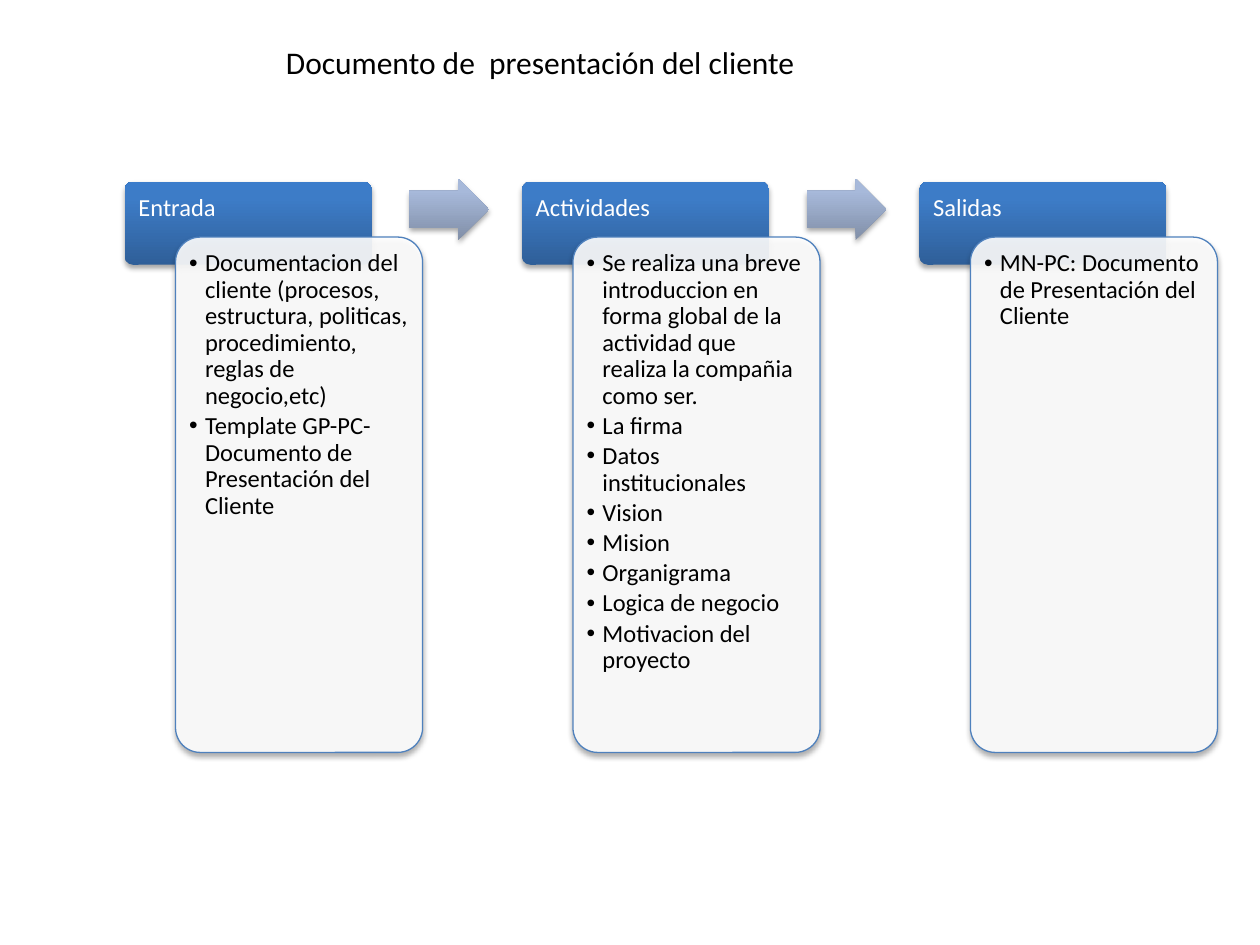
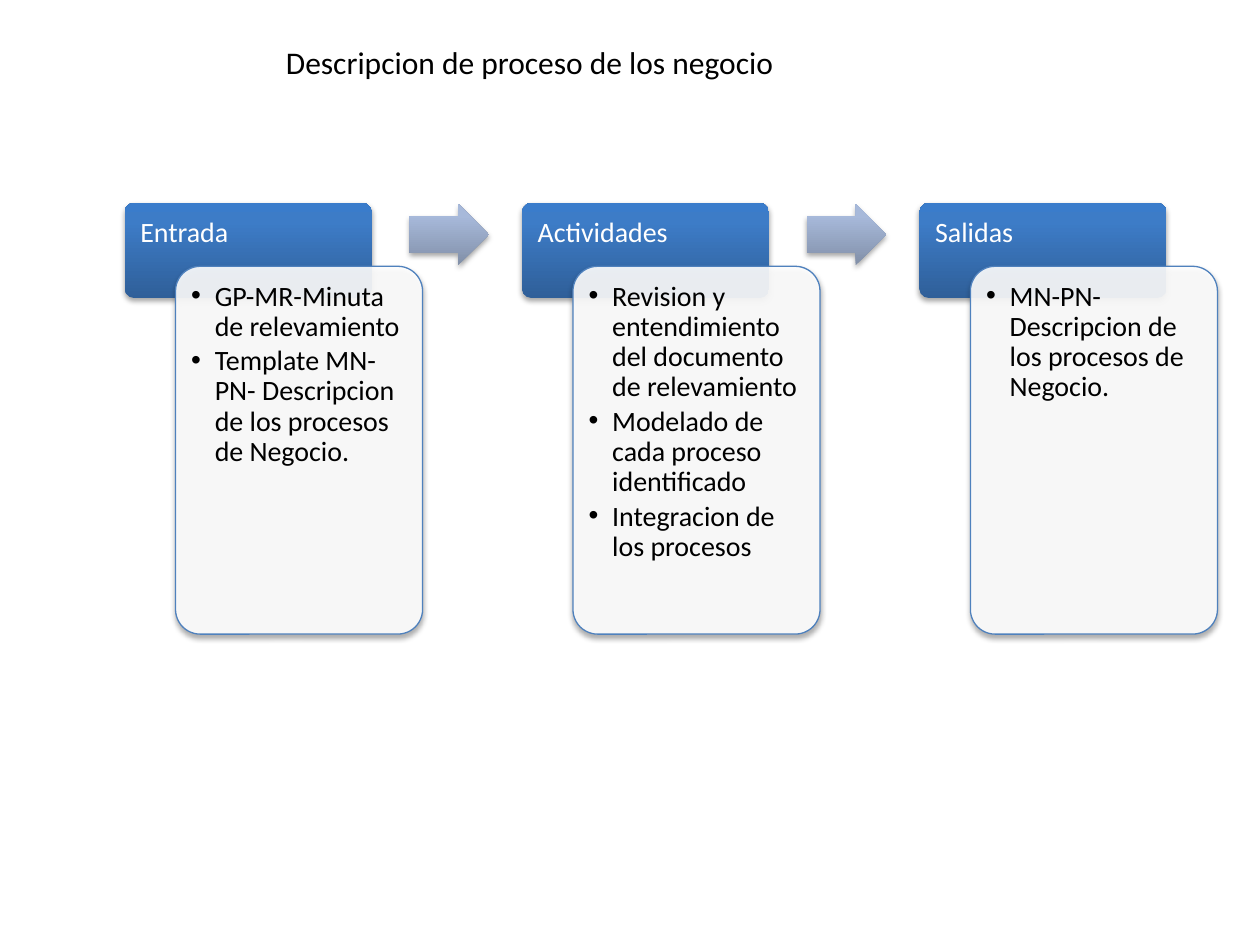
"""Build two process slides: inputs, activities and outputs as linked columns."""
from lxml.etree import SubElement
from pptx import Presentation
from pptx.dml.color import RGBColor as Rgb
from pptx.enum.shapes import MSO_SHAPE as Preset
from pptx.enum.text import MSO_ANCHOR as Anchor, MSO_AUTO_SIZE as AutoSize, PP_ALIGN as Align
from pptx.oxml.ns import qn
from pptx.util import Pt

COLORS = {
    "white": "FFFFFF", "black": "000000", "outline": "4F81BD",
    "header_low": "2F5F99", "header_mid": "3D7CC7", "header_top": "3A7CCB",
    "arrow_low": "818FA8", "arrow_mid": "A7B9DA", "arrow_top": "A7BADC",
}
FONT = "Calibri"
COMPARISON_LAYOUT = 4
COLUMN_LEFT, COLUMN_STEP, COLUMN_WIDTH = 71.2, 227.1, 141.2
PANEL_SHIFT, ARROW_SHIFT = 29.1, 162.8
ARROW_WIDTH, ARROW_HEIGHT = 45.4, 35.2
CORNER = 0.1
HEADINGS = ["Entrada", "Actividades", "Salidas"]

SLIDES = [
    {
        "title": "Documento de  presentación del cliente",
        "size": 14, "indent": 9, "top": 103.8, "header": 47.5, "panel": 294.5,
        "lists": [
            ["Documentacion del cliente (procesos, estructura, politicas, "
             "procedimiento, reglas de negocio,etc)",
             "Template GP-PC-Documento de Presentación del Cliente"],
            ["Se realiza una breve introduccion en forma global de la actividad "
             "que realiza la compañia como ser.",
             "La firma", "Datos institucionales", "Vision", "Mision",
             "Organigrama", "Logica de negocio", "Motivacion del proyecto"],
            ["MN-PC: Documento de Presentación del Cliente"],
        ],
    },
    {
        "title": "Descripcion de proceso de los negocio",
        "size": 16, "indent": 13.5, "top": 115.9, "header": 54.4, "panel": 210.2,
        "lists": [
            ["GP-MR-Minuta de relevamiento",
             "Template MN-PN- Descripcion de los procesos de Negocio."],
            ["Revision y entendimiento del documento de relevamiento",
             "Modelado de cada proceso identificado",
             "Integracion de los procesos"],
            ["MN-PN- Descripcion de los procesos de Negocio."],
        ],
    },
]


def color(name):
    return Rgb.from_string(COLORS[name])


def place(box, left, top, width, height):
    box.left, box.top, box.width, box.height = Pt(left), Pt(top), Pt(width), Pt(height)


def set_frame(box, inset_x, inset_y):
    frame = box.text_frame
    frame.word_wrap = True
    frame.auto_size = AutoSize.NONE
    frame.vertical_anchor = Anchor.TOP
    frame.margin_left = frame.margin_right = Pt(inset_x)
    frame.margin_top = frame.margin_bottom = Pt(inset_y)
    return frame


def add_span(para, text, size, tone):
    para.alignment = Align.LEFT
    para.space_before = Pt(0)
    span = para.add_run()
    span.text = text
    span.font.name, span.font.size, span.font.bold = FONT, Pt(size), False
    span.font.color.rgb = color(tone)


def add_shadow(box):
    box.shadow.inherit = False
    effects = box._element.spPr.find(qn("a:effectLst"))
    shadow = SubElement(effects, qn("a:outerShdw"), blurRad=str(Pt(3.1)),
                        dist=str(Pt(1.8)), dir="5400000", rotWithShape="0")
    tone = SubElement(shadow, qn("a:srgbClr"), val=COLORS["black"])
    SubElement(tone, qn("a:alpha"), val="35000")


def fill_gradient(box, family):
    box.fill.gradient()
    box.fill.gradient_angle = 90
    stops = next(box._element.spPr.iter(qn("a:gsLst")))
    for stop in list(stops):
        stops.remove(stop)
    for position, level in ((0, "low"), (80, "mid"), (100, "top")):
        stop = SubElement(stops, qn("a:gs"), pos=str(position * 1000))
        SubElement(stop, qn("a:srgbClr"), val=COLORS[f"{family}_{level}"])
    box.line.fill.background()


def add_box(page, preset, left, top, width, height):
    box = page.shapes.add_shape(preset, Pt(left), Pt(top), Pt(width), Pt(height))
    add_shadow(box)
    return box


def add_header(page, text, left, top, height, size):
    box = add_box(page, Preset.ROUNDED_RECTANGLE, left, top, COLUMN_WIDTH, height)
    box.adjustments[0] = CORNER
    fill_gradient(box, "header")
    inset = size * 0.56 - height * CORNER * 0.29
    para = set_frame(box, inset, inset).paragraphs[0]
    para.line_spacing = 0.9
    add_span(para, text, size, "white")


def add_panel(page, left, top, height):
    box = add_box(page, Preset.ROUNDED_RECTANGLE, left, top, COLUMN_WIDTH, height)
    box.adjustments[0] = CORNER
    box.fill.solid()
    box.fill.fore_color.rgb = color("white")
    tone = box._element.spPr.find(qn("a:solidFill"))[0]
    SubElement(tone, qn("a:alpha"), val="90000")
    box.line.color.rgb = color("outline")
    box.line.width = Pt(0.75)


def add_arrow(page, left, middle):
    box = add_box(page, Preset.RIGHT_ARROW, left, middle - ARROW_HEIGHT / 2,
                  ARROW_WIDTH, ARROW_HEIGHT)
    box.adjustments[0], box.adjustments[1] = 0.6, 0.5
    fill_gradient(box, "arrow")


def fill_list(page, box, items, left, top, height, size, indent):
    page.shapes._spTree.append(box._element)
    place(box, left, top, COLUMN_WIDTH, height)
    frame = set_frame(box, size * 0.56, size * 0.56)
    for number, item in enumerate(items):
        para = frame.add_paragraph() if number else frame.paragraphs[0]
        para.line_spacing = 0.9
        para.space_after = Pt(size * 0.15)
        add_span(para, item, size, "black")
        properties = para._p.get_or_add_pPr()
        properties.set("marL", str(Pt(indent)))
        properties.set("indent", str(-Pt(indent)))
        SubElement(properties, qn("a:buChar"), char="•")


def set_title(page, text):
    box = page.shapes.title
    place(box, 156.2, 20.9, 345.6, 51.1)
    add_span(set_frame(box, 7.2, 3.6).paragraphs[0], text, 18, "black")


def build_page(deck, content):
    page = deck.slides.add_slide(deck.slide_layouts[COMPARISON_LAYOUT])
    set_title(page, content["title"])
    *bodies, spare = [box for box in page.placeholders if box.placeholder_format.idx in range(1, 5)]
    spare._element.getparent().remove(spare._element)
    size, top, header = content["size"], content["top"], content["header"]
    label = header * 2 / 3
    for column, (heading, items, body) in enumerate(zip(HEADINGS, content["lists"], bodies)):
        left = COLUMN_LEFT + column * COLUMN_STEP
        panel_left, panel_top = left + PANEL_SHIFT, top + label
        add_header(page, heading, left, top, header, size)
        add_panel(page, panel_left, panel_top, content["panel"])
        fill_list(page, body, items, panel_left, panel_top, content["panel"],
                  size, content["indent"])
        if column < len(HEADINGS) - 1:
            add_arrow(page, left + ARROW_SHIFT, top + label / 2)


def main():
    deck = Presentation()
    deck.slide_width, deck.slide_height = Pt(720), Pt(540)
    for content in SLIDES:
        build_page(deck, content)
    deck.save("out.pptx")


main()
